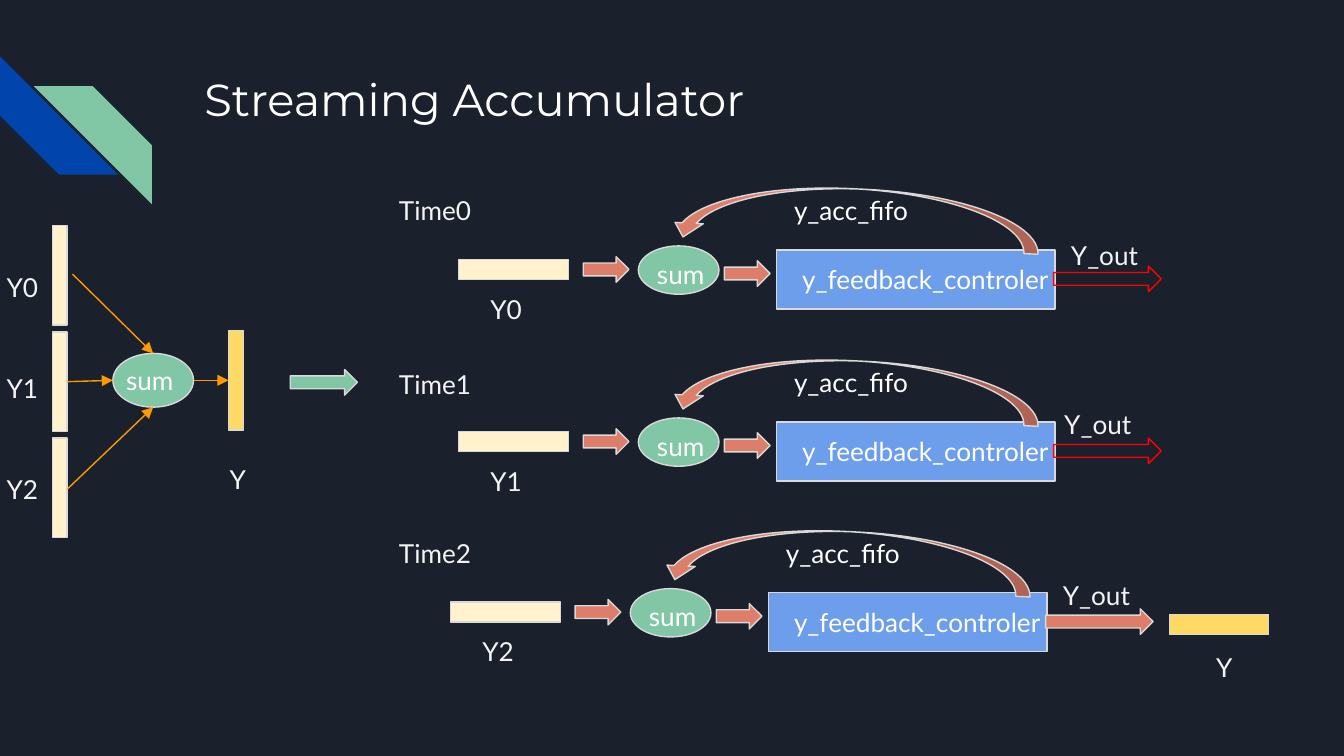
from pptx import Presentation
from pptx.dml.color import RGBColor
from pptx.enum.shapes import MSO_CONNECTOR, MSO_SHAPE
from pptx.enum.text import MSO_ANCHOR, PP_ALIGN
from pptx.oxml.ns import qn
from pptx.util import Inches, Pt
from lxml import etree

RECT, OVAL = MSO_SHAPE.RECTANGLE, MSO_SHAPE.OVAL
ARROW, CURVE = MSO_SHAPE.RIGHT_ARROW, MSO_SHAPE.CURVED_RIGHT_ARROW
STRIPE, LINE = MSO_SHAPE.DIAGONAL_STRIPE, MSO_CONNECTOR.STRAIGHT
TOP, LEFT = MSO_ANCHOR.TOP, PP_ALIGN.LEFT

NIGHT = RGBColor(0x1B, 0x21, 0x2C)
NAVY = RGBColor(0x01, 0x45, 0xAC)
GREEN = RGBColor(0x82, 0xC7, 0xA5)
CREAM = RGBColor(0xFF, 0xF2, 0xCC)
GOLD = RGBColor(0xFF, 0xD9, 0x66)
BLUE = RGBColor(0x6D, 0x9E, 0xEB)
CORAL = RGBColor(0xDD, 0x7E, 0x6B)
ORANGE = RGBColor(0xFF, 0x99, 0x00)
RED = RGBColor(0xFF, 0x00, 0x00)
GREY = RGBColor(0xD9, 0xD9, 0xD9)
PALE = RGBColor(0xF3, 0xF3, 0xF3)
WHITE = RGBColor(0xFF, 0xFF, 0xFF)

TITLE = "Streaming Accumulator"
INPUTS = ["Y0", "Y1", "Y2"]
BAR_TOP, BAR_STEP, NAME_TOP, NAME_STEP = 1.68, 0.79, 1.92, 0.75
LINKS = [((0.54, 2.04), (1.14, 2.63)), ((0.5, 3.64), (1.14, 3.03)),
         ((0.5, 2.84), (0.84, 2.83)), ((1.44, 2.83), (1.7, 2.83))]

# Each lane: time label and its top, input, origin, place of the Y_out label,
# fill and line of the output arrow
LANES = [
    ("Time0", 1.35, "Y0", (3.41, 1.86), (7.87, 1.68), None, RED),
    ("Time1", 2.64, "Y1", (3.41, 3.14), (7.82, 2.94), None, RED),
    ("Time2", 3.9, "Y2", (3.35, 4.41), (7.81, 4.21), CORAL, GREY),
]
# Parts of a lane, as offsets from its origin
PARTS = [
    (RECT, (0, 0.07, 0.82, 0.15), CREAM, 0),
    (RECT, (2.37, 0, 2.07, 0.44), BLUE, 0),
    (CURVE, (2.74, -1.62, 0.42, 2.75), CORAL, 92.8),
    (OVAL, (1.34, -0.03, 0.6, 0.36), GREEN, 0),
    (ARROW, (1.98, 0.08, 0.34, 0.19), CORAL, 0),
    (ARROW, (0.93, 0.05, 0.34, 0.19), CORAL, 0),
]
WORDS = [("y_feedback_controler", 2.46, 0, 2.07), ("sum", 1.38, -0.04, 0.56),
         ("y_acc_fifo", 2.4, -0.51, 1.17)]

deck = Presentation()
deck.slide_width = Inches(10)
deck.slide_height = deck.slide_width * 9 // 16
slide = deck.slides.add_slide(deck.slide_layouts[5])
slide.background.fill.solid()
slide.background.fill.fore_color.rgb = NIGHT


def write(box, text, size=14, font="Lato", color=PALE):
    """Put formatted text into a box."""
    frame = box.text_frame
    frame.word_wrap, frame.vertical_anchor = True, TOP
    frame.margin_left = frame.margin_right = Inches(0.1)
    frame.margin_top = frame.margin_bottom = Inches(0.1)
    line = frame.paragraphs[0]
    line.alignment = LEFT
    run = line.add_run()
    run.text = text
    run.font.size, run.font.name = Pt(size), font
    run.font.color.rgb = color


def label(text, x, y, w, **form):
    """Add a one-line text box."""
    box = slide.shapes.add_textbox(*map(Inches, (x, y, w, 0.44)))
    write(box, text, **form)


def draw(kind, at, fill, edge=GREY, turn=0):
    """Add a preset shape; None leaves out its fill or its line."""
    shape = slide.shapes.add_shape(kind, *map(Inches, at))
    shape.shadow.inherit = False
    shape.rotation = turn
    if fill is None:
        shape.fill.background()
    else:
        shape.fill.solid()
        shape.fill.fore_color.rgb = fill
    if edge is None:
        shape.line.fill.background()
    else:
        shape.line.color.rgb = edge
        shape.line.width = Pt(0.75)
    return shape


def link(start, end):
    """Add a thin line with an arrowhead at its end."""
    wire = slide.shapes.add_connector(LINE, *map(Inches, start + end))
    wire.line.color.rgb = ORANGE
    wire.line.width = Pt(0.75)
    etree.SubElement(wire.line._get_or_add_ln(), qn("a:tailEnd"), type="triangle")
    etree.SubElement(wire._element.spPr, qn("a:effectLst"))


def lane(time, top, name, origin, out, fill, edge):
    """Draw one time step of the stream."""
    x, y = origin
    for kind, (dx, dy, w, h), color, turn in PARTS:
        draw(kind, (x + dx, y + dy, w, h), color, turn=turn)
    draw(ARROW, (x + 4.43, y + 0.12, 0.8, 0.19), fill, edge)
    for text, dx, dy, w in WORDS:
        label(text, x + dx, y + dy, w, color=WHITE)
    label(name, x + 0.14, y + 0.22, 0.45)
    label("Y_out", *out, 0.74)
    label(time, 2.87, top, 0.74)


# Title and corner stripes
draw(STRIPE, (0, 0.42, 0.88, 0.88), NAVY, None, 270)
mint = draw(STRIPE, (0.25, 0.64, 0.88, 0.88), GREEN, None)
mint._element.spPr.xfrm.set("flipH", "1")
title = slide.shapes.title
title.left, title.top, title.width, title.height = map(Inches, (1.42, 0.43, 7.7, 1))
write(title, TITLE, size=24, font="Montserrat", color=WHITE)

# Plain sum on the left
for i, name in enumerate(INPUTS):
    draw(RECT, (0.39, BAR_TOP + i * BAR_STEP, 0.11, 0.74), CREAM)
    label(name, -0.05, NAME_TOP + i * NAME_STEP, 0.45)
draw(RECT, (1.7, 2.46, 0.11, 0.74), GOLD)
label("Y", 1.61, 3.35, 0.25)
draw(OVAL, (0.84, 2.63, 0.6, 0.4), GREEN)
for start, end in LINKS:
    link(start, end)
label("sum", 0.84, 2.61, 0.67, color=WHITE)
draw(ARROW, (2.16, 2.75, 0.5, 0.19), GREEN)

# Streamed sum on the right
for row in LANES:
    lane(*row)
draw(RECT, (8.7, 4.57, 0.74, 0.15), GOLD)
label("Y", 8.95, 4.75, 0.25)

deck.save("out.pptx")
